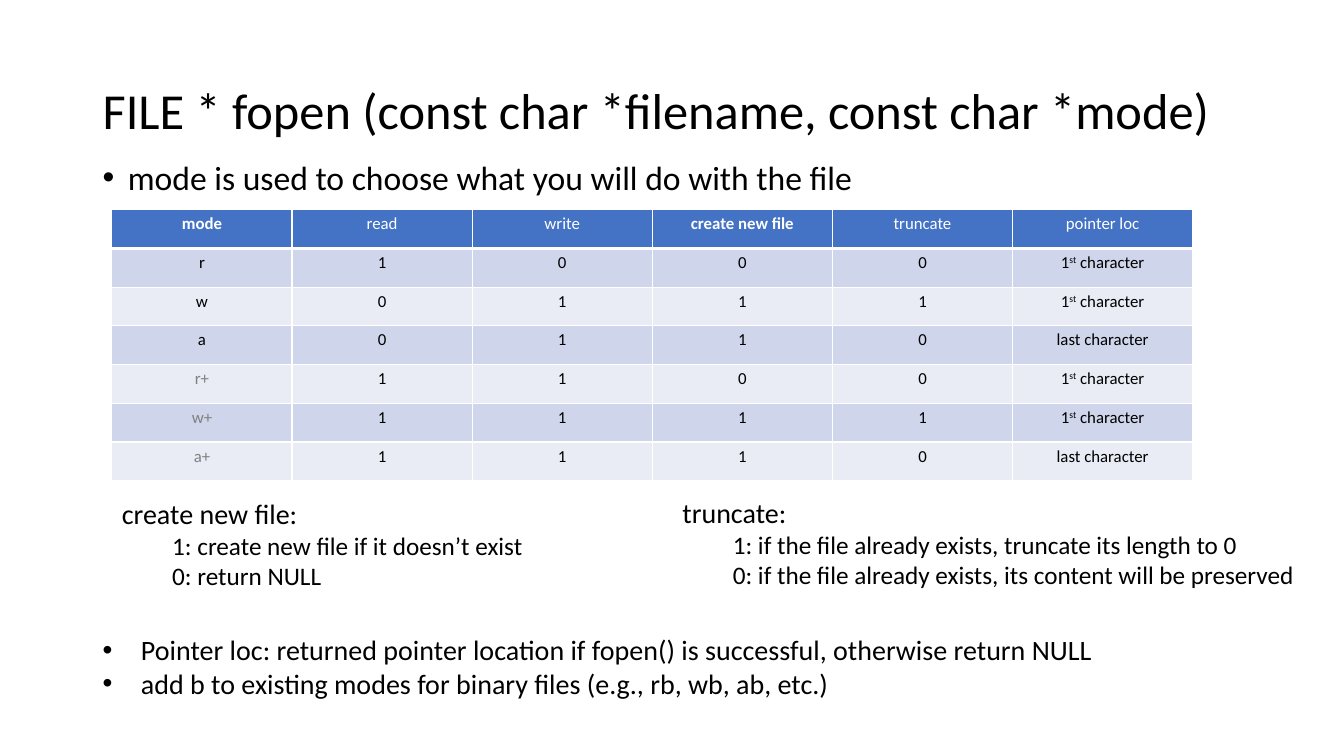
from lxml import etree
from pptx import Presentation
from pptx import util as u
from pptx.dml.color import RGBColor
from pptx.enum import text
from pptx.oxml.ns import qn

PX = 9144  # one hundredth of an inch in EMU
FONT = "Calibri"
BLACK, WHITE, GREY = "000000", "FFFFFF", "808080"
HEADER_FILL, BANDS = "4472C4", ("CFD5EA", "E9EBF5")

FIRST, LAST = "1st character", "last character"
MODES = [
    ("mode", "read", "write", "create new file", "truncate", "pointer loc"),
    ("r", "1", "0", "0", "0", FIRST),
    ("w", "0", "1", "1", "1", FIRST),
    ("a", "0", "1", "1", "0", LAST),
    ("r+", "1", "1", "0", "0", FIRST),
    ("w+", "1", "1", "1", "1", FIRST),
    ("a+", "1", "1", "1", "0", LAST),
]
BOLD_HEADERS = ("mode", "create new file")


def px(length):
    return u.Emu(length * PX)


def color(value):
    return RGBColor.from_string(value)


def style(span, size, ink=BLACK, bold=False):
    span.font.name = FONT
    span.font.size = u.Pt(size)
    span.font.bold = bold
    span.font.color.rgb = color(ink)


def indent(para, left, hanging=0, bullet=False):
    props = para._p.get_or_add_pPr()
    props.set("marL", str(px(left)))
    props.set("indent", str(px(-hanging)))
    if bullet:
        etree.SubElement(props, qn("a:buFont")).set("typeface", "Arial")
        etree.SubElement(props, qn("a:buChar")).set("char", "•")


def add_text(page, box, lines, sizes):
    """Place one text box and return its frame."""
    frame = page.shapes.add_textbox(*map(px, box)).text_frame
    frame.word_wrap = True
    frame.text = "\n".join(lines)
    for para, size in zip(frame.paragraphs, sizes):
        style(para.runs[0], size)
    return frame


def add_title(page, box, title):
    frame = add_text(page, box, [title], [36])
    frame.vertical_anchor = text.MSO_ANCHOR.MIDDLE
    frame.paragraphs[0].line_spacing = 0.9


def add_lead(page, box, line):
    para = add_text(page, box, [line], [24]).paragraphs[0]
    para.line_spacing = 0.9
    para.space_before = u.Pt(10)
    indent(para, 25, 25, bullet=True)


def add_explanation(page, box, heading, cases):
    frame = add_text(page, box, [heading, *cases], [20] + [18] * len(cases))
    for para in frame.paragraphs[1:]:
        indent(para, 50)


def add_notes(page, box, lines):
    for para in add_text(page, box, lines, [20] * len(lines)).paragraphs:
        indent(para, 38, 38, bullet=True)


def set_borders(cell, bottom):
    props = cell._tc.get_or_add_tcPr()
    widths = {"a:lnL": 1, "a:lnR": 1, "a:lnT": 1, "a:lnB": bottom}
    for place, (side, width) in enumerate(widths.items()):
        line = etree.Element(qn(side), w=str(u.Pt(width)))
        fill = etree.SubElement(line, qn("a:solidFill"))
        etree.SubElement(fill, qn("a:srgbClr")).set("val", WHITE)
        props.insert(place, line)


def fill_cell(cell, value, fill, ink, bold, bottom):
    cell.fill.solid()
    cell.fill.fore_color.rgb = color(fill)
    set_borders(cell, bottom)
    cell.margin_left = cell.margin_right = px(9)
    cell.margin_top = cell.margin_bottom = px(4)
    para = cell.text_frame.paragraphs[0]
    para.alignment = text.PP_ALIGN.CENTER
    # The ordinal ending is raised
    parts = ("1", "st", " character") if value == FIRST else (value,)
    for part in parts:
        span = para.add_run()
        span.text = part
        style(span, 12, ink, bold)
        if part == "st":
            span._r.get_or_add_rPr().set("baseline", "30000")


def add_mode_table(page, box, rows):
    table = page.shapes.add_table(len(rows), len(rows[0]), *map(px, box)).table
    for r, values in enumerate(rows):
        for c, value in enumerate(values):
            cell = table.cell(r, c)
            if r == 0:
                fill_cell(cell, value, HEADER_FILL, WHITE, value in BOLD_HEADERS, 3)
            else:
                ink = GREY if value.endswith("+") else BLACK
                fill_cell(cell, value, BANDS[(r - 1) % 2], ink, False, 1)


def main():
    deck = Presentation()
    deck.slide_width, deck.slide_height = px(1333), px(750)
    page = deck.slides.add_slide(deck.slide_layouts[6])

    # Heading and lead
    add_title(page, (92, 40, 1150, 145),
              "FILE * fopen (const char *filename, const char *mode)")
    add_lead(page, (92, 155, 1150, 333),
             "mode is used to choose what you will do with the file")

    # Modes
    add_mode_table(page, (111, 208, 1072, 269), MODES)

    # Meaning of the flags
    add_explanation(page, (111, 488, 477, 135), "create new file:",
                    ["1: create new file if it doesn’t exist",
                     "0: return NULL"])
    add_explanation(page, (667, 487, 653, 131), "truncate:",
                    ["1: if the file already exists, truncate its length to 0",
                     "0: if the file already exists, its content will be preserved"])

    # Closing remarks
    add_notes(page, (92, 623, 1103, 77),
              ["Pointer loc: returned pointer location if fopen() is successful, "
               "otherwise return NULL",
               "add b to existing modes for binary files (e.g., rb, wb, ab, etc.)"])
    deck.save("out.pptx")


if __name__ == "__main__":
    main()
